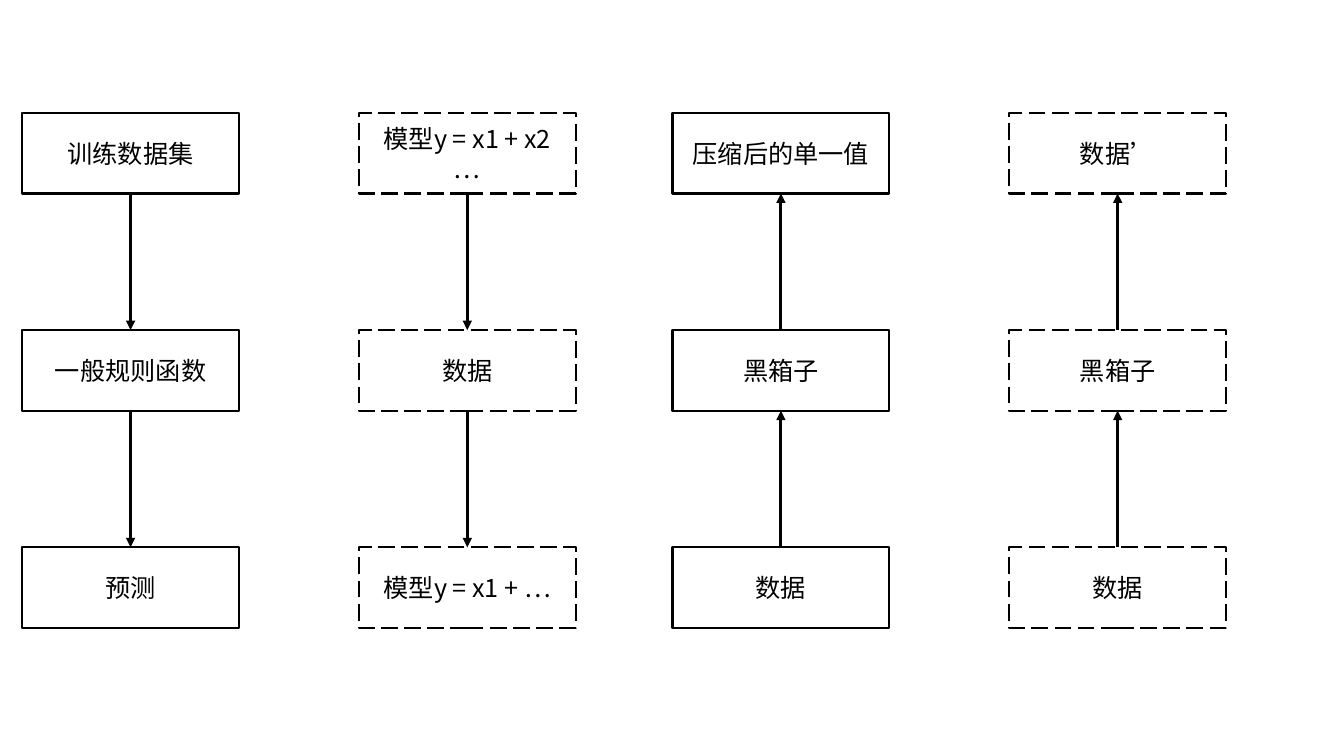
from itertools import pairwise

from pptx import Presentation
from pptx.dml.color import RGBColor
from pptx.enum.dml import MSO_LINE
from pptx.enum.shapes import MSO_CONNECTOR, MSO_SHAPE
from pptx.enum.text import MSO_ANCHOR, PP_ALIGN
from pptx.oxml.ns import qn
from pptx.util import Inches, Pt
from lxml.etree import SubElement

BLACK = RGBColor(0, 0, 0)
WHITE = RGBColor(255, 255, 255)
FONT = "Noto Sans CJK SC"

BOX_W, BOX_H = 2.15, 0.8
TOP, ROW_PITCH = 1.12, 2.155

# Left edge, dashed outline, arrows point up, labels from top to bottom
FLOWS = [
    (0.22, False, False, ["训练数据集", "一般规则函数", "预测"]),
    (3.56, True, False, ["模型y = x1 + x2 …", "数据", "模型y = x1 + …"]),
    (6.67, False, True, ["压缩后的单一值", "黑箱子", "数据"]),
    (10.01, True, True, ["数据’", "黑箱子", "数据"]),
]


def add_box(slide, left, top, text, dashed):
    s = slide.shapes.add_shape(MSO_SHAPE.RECTANGLE, Inches(left), Inches(top),
                               Inches(BOX_W), Inches(BOX_H))
    s.shadow.inherit = False
    s.fill.solid()
    s.fill.fore_color.rgb = WHITE
    s.line.color.rgb = BLACK
    s.line.width = Pt(1.5)
    if dashed:
        s.line.dash_style = MSO_LINE.LONG_DASH

    # Centred label
    tf = s.text_frame
    tf.text = text
    tf.word_wrap = True
    tf.vertical_anchor = MSO_ANCHOR.MIDDLE
    p = tf.paragraphs[0]
    p.alignment = PP_ALIGN.CENTER
    r = p.runs[0]
    r.font.size = Pt(18)
    r.font.color.rgb = BLACK
    r.font.name = FONT
    SubElement(r.font._element, qn("a:ea"), typeface=FONT)


def add_arrow(slide, x, start, end):
    c = slide.shapes.add_connector(MSO_CONNECTOR.STRAIGHT, Inches(x), Inches(start),
                                   Inches(x), Inches(end))
    c.line.color.rgb = BLACK
    c.line.width = Pt(2.25)
    SubElement(c.line._get_or_add_ln(), qn("a:tailEnd"), type="triangle")
    SubElement(c._element.spPr, qn("a:effectLst"))


def add_flow(slide, left, top, labels, dashed, upward):
    """Stack the labelled boxes and join neighbours with arrows."""
    tops = [top + i * ROW_PITCH for i in range(len(labels))]
    for y, text in zip(tops, labels):
        add_box(slide, left, y, text, dashed)
    for upper, lower in pairwise(tops):
        start, end = upper + BOX_H, lower
        if upward:
            start, end = end, start
        add_arrow(slide, left + BOX_W / 2, start, end)


def main():
    prs = Presentation()
    prs.slide_width = Inches(13.33)
    prs.slide_height = Inches(7.5)
    slide = prs.slides.add_slide(prs.slide_layouts[6])
    for left, dashed, upward, labels in FLOWS:
        add_flow(slide, left, TOP, labels, dashed, upward)
    prs.save("out.pptx")


if __name__ == "__main__":
    main()
